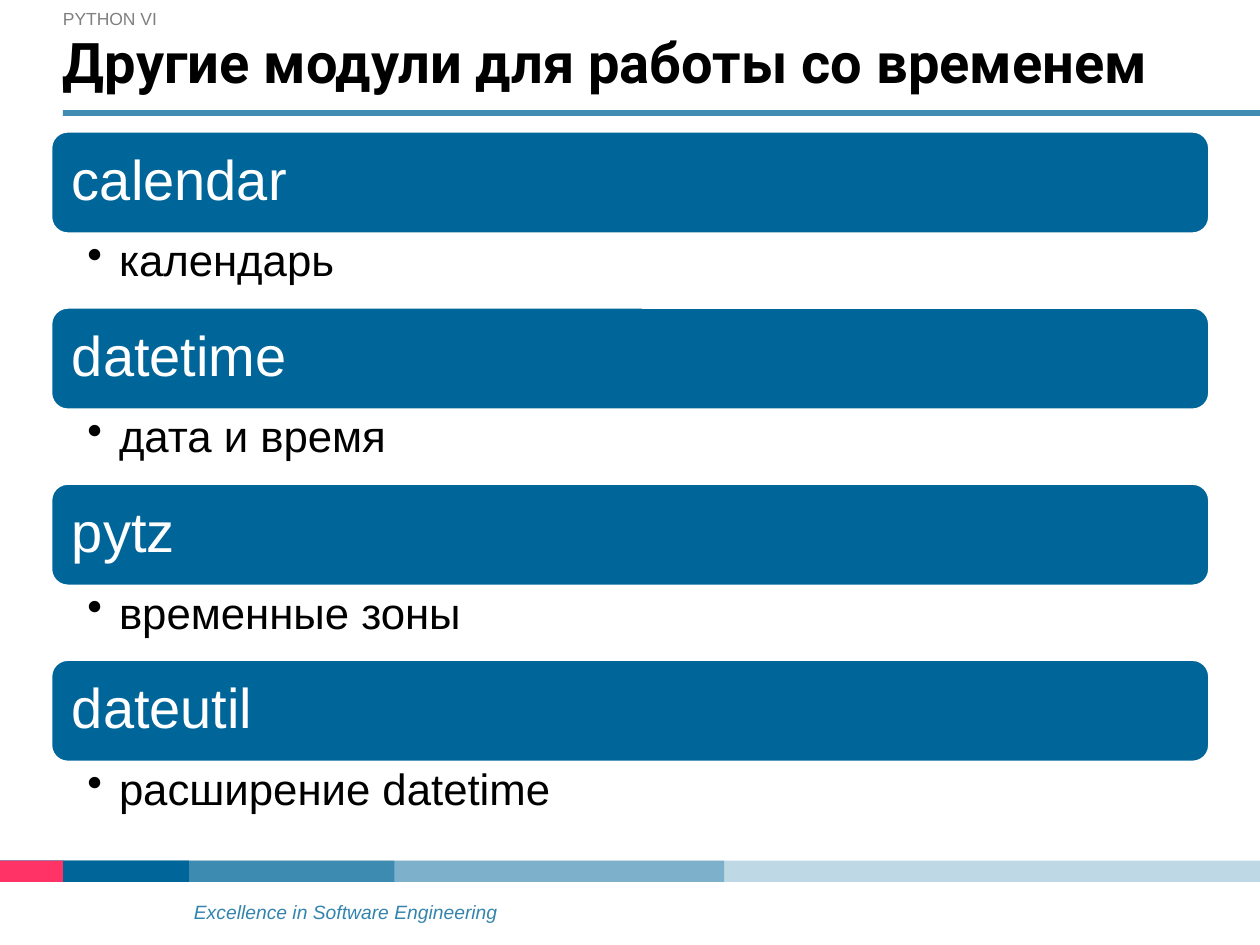
from dataclasses import dataclass

from lxml.etree import SubElement
from pptx import Presentation
from pptx.dml.color import RGBColor
from pptx.enum.shapes import MSO_SHAPE as Shape
from pptx.enum.text import MSO_ANCHOR as Anchor
from pptx.oxml.ns import qn
from pptx.util import Cm, Pt

BLUE, PINK, WHITE, BLACK, GRAY = "006699", "FF3366", "FFFFFF", "000000", "808080"


@dataclass
class Box:
    left: float
    top: float
    width: float
    height: float


@dataclass
class Band:
    width: float
    color: str
    opacity: int


@dataclass
class Module:
    name: str
    purpose: str


BANDS = [
    Band(25.4, BLUE, 25),
    Band(14.6, BLUE, 34),
    Band(7.95, BLUE, 50),
    Band(3.81, BLUE, 100),
    Band(1.27, PINK, 100),
]
MODULES = [
    Module("calendar", "календарь"),
    Module("datetime", "дата и время"),
    Module("pytz", "временные зоны"),
    Module("dateutil", "расширение datetime"),
]
FIRST_TOP, ROW_PITCH = 2.64, 3.55
BAR_HEIGHT, PURPOSE_HEIGHT = 2.08, 1.47


def set_color(color_format, color: str, opacity: int = 100) -> None:
    color_format.rgb = RGBColor.from_string(color)
    if opacity < 100:
        element = color_format._xFill.find(qn("a:srgbClr"))
        SubElement(element, qn("a:alpha"), val=str(opacity * 1000))


def add_block(slide, box: Box, color: str, opacity: int = 100, kind=Shape.RECTANGLE):
    shape = slide.shapes.add_shape(
        kind, Cm(box.left), Cm(box.top), Cm(box.width), Cm(box.height))
    shape.shadow.inherit = False
    shape.fill.solid()
    set_color(shape.fill.fore_color, color, opacity)
    shape.line.fill.background()
    return shape


def add_text_box(slide, box: Box):
    return slide.shapes.add_textbox(
        Cm(box.left), Cm(box.top), Cm(box.width), Cm(box.height))


def write(shape, text: str, color: str, margins: tuple, anchor=Anchor.TOP,
          spacing=None, opacity: int = 100, **font_values):
    frame = shape.text_frame
    frame.word_wrap = True
    frame.vertical_anchor = anchor
    sides = ("margin_left", "margin_top", "margin_right", "margin_bottom")
    for side, margin in zip(sides, margins):
        setattr(frame, side, Cm(margin))
    paragraph = frame.paragraphs[0]
    paragraph.alignment = 1
    paragraph.line_spacing = spacing
    run = paragraph.add_run()
    run.text = text
    for name, value in ({"name": "Arial"} | font_values).items():
        setattr(run.font, name, value)
    set_color(run.font.color, color, opacity)
    return paragraph


def add_bullet(paragraph, indent: float) -> None:
    properties = paragraph._p.get_or_add_pPr()
    properties.set("marL", str(Cm(indent)))
    properties.set("indent", str(-Cm(indent)))
    SubElement(properties, qn("a:buChar"), char="•")


def add_module(slide, module: Module, top: float) -> None:
    bar = add_block(slide, Box(1.02, top, 23.37, BAR_HEIGHT), BLUE,
                    kind=Shape.ROUNDED_RECTANGLE)
    set_color(bar.line.color, WHITE)
    bar.line.width = Pt(2)
    write(bar, module.name, WHITE, (0.33, 0.33, 0.33, 0.33), Anchor.MIDDLE,
          spacing=0.9, size=Pt(32))
    purpose = add_text_box(slide, Box(1.02, top + BAR_HEIGHT, 23.37, PURPOSE_HEIGHT))
    paragraph = write(purpose, module.purpose, BLACK, (0.74, 0.1, 0.64, 0.1),
                      spacing=0.9, size=Pt(25))
    add_bullet(paragraph, 0.64)


presentation = Presentation()
presentation.slide_width, presentation.slide_height = Cm(25.4), Cm(19.05)
slide = presentation.slides.add_slide(presentation.slide_layouts[6])

# Footer
footer = add_text_box(slide, Box(3.66, 18.24, 7.26, 0.38))
write(footer, "Excellence in Software Engineering", BLUE, (0.25, 0, 0.25, 0),
      spacing=0.8, opacity=80, size=Pt(11), italic=True)
for band in BANDS:
    add_block(slide, Box(0, 17.35, band.width, 0.43), band.color, band.opacity)

# Heading
section = add_text_box(slide, Box(1.02, 0, 24.33, 0.76))
write(section, "PYTHON VI", GRAY, (0.25, 0.13, 0.25, 0.13), Anchor.MIDDLE, size=Pt(10))
title = add_text_box(slide, Box(1.27, 0.76, 24.13, 1.57))
write(title, "Другие модули для работы со временем", BLACK, (0, 0.13, 0.25, 0.38),
      Anchor.MIDDLE, spacing=Pt(28), name="Roboto", size=Pt(32), bold=True)
add_block(slide, Box(1.27, 2.22, 24.13, 0.12), BLUE, 75)

# Modules
for index, module in enumerate(MODULES):
    add_module(slide, module, FIRST_TOP + index * ROW_PITCH)

presentation.save("out.pptx")
